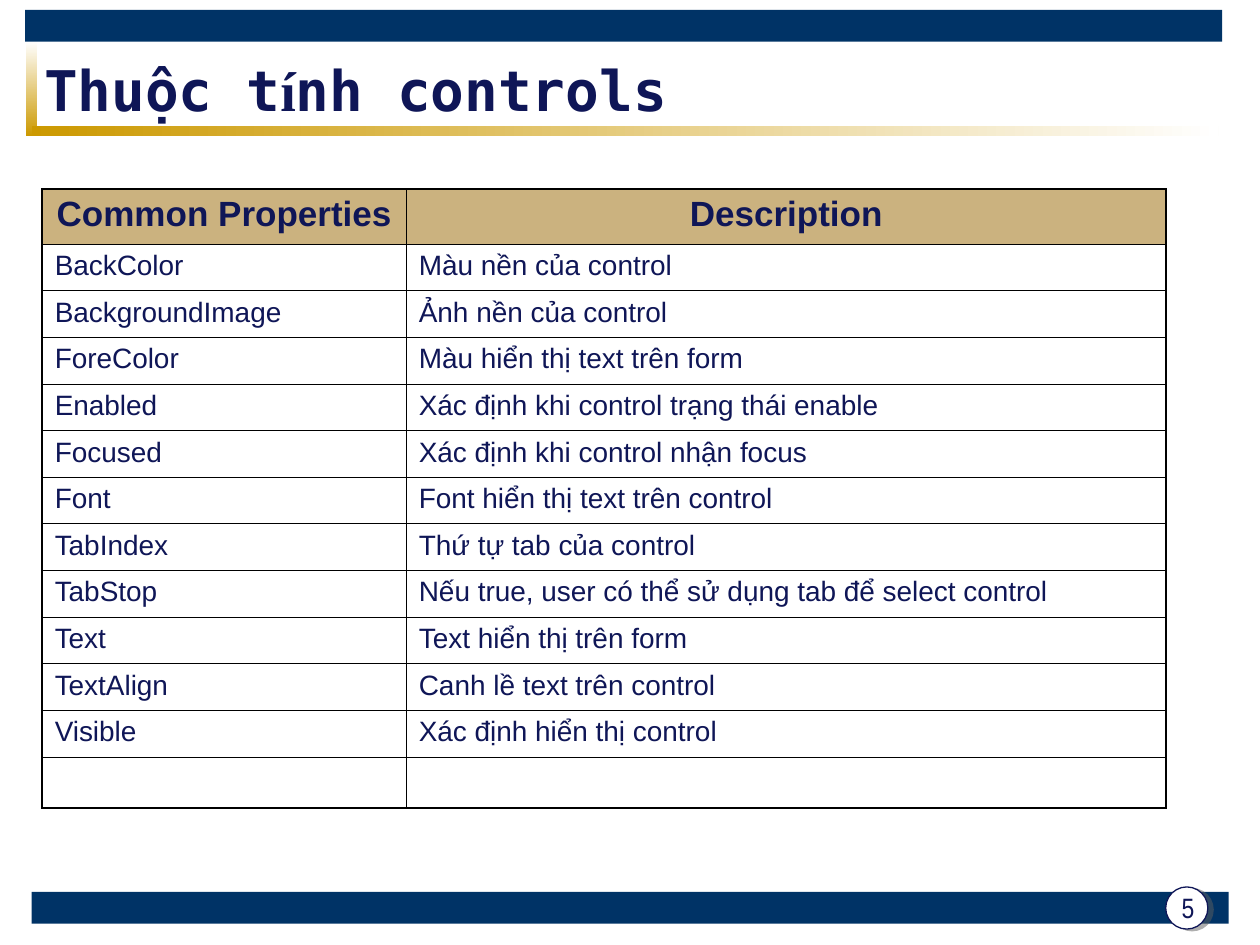
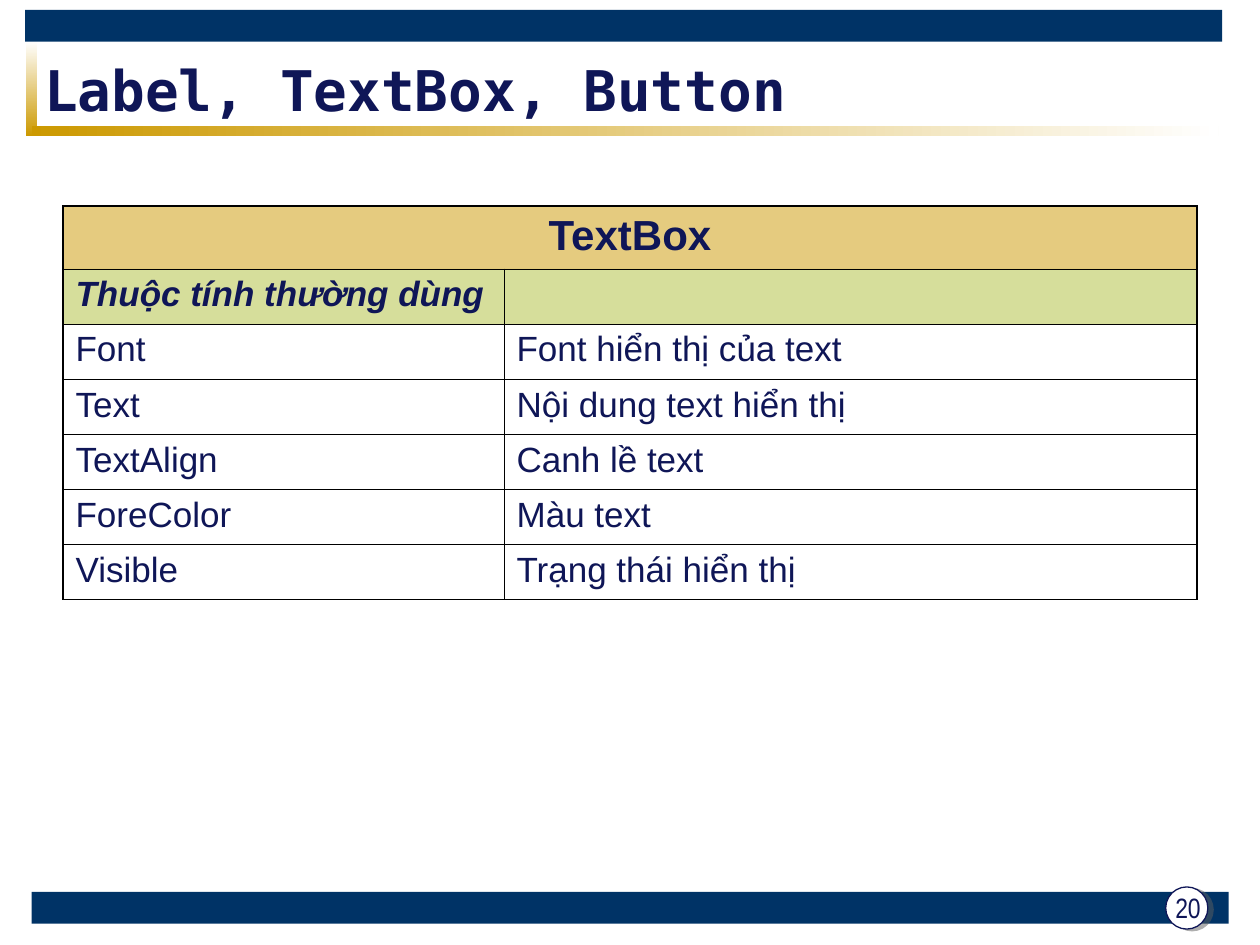
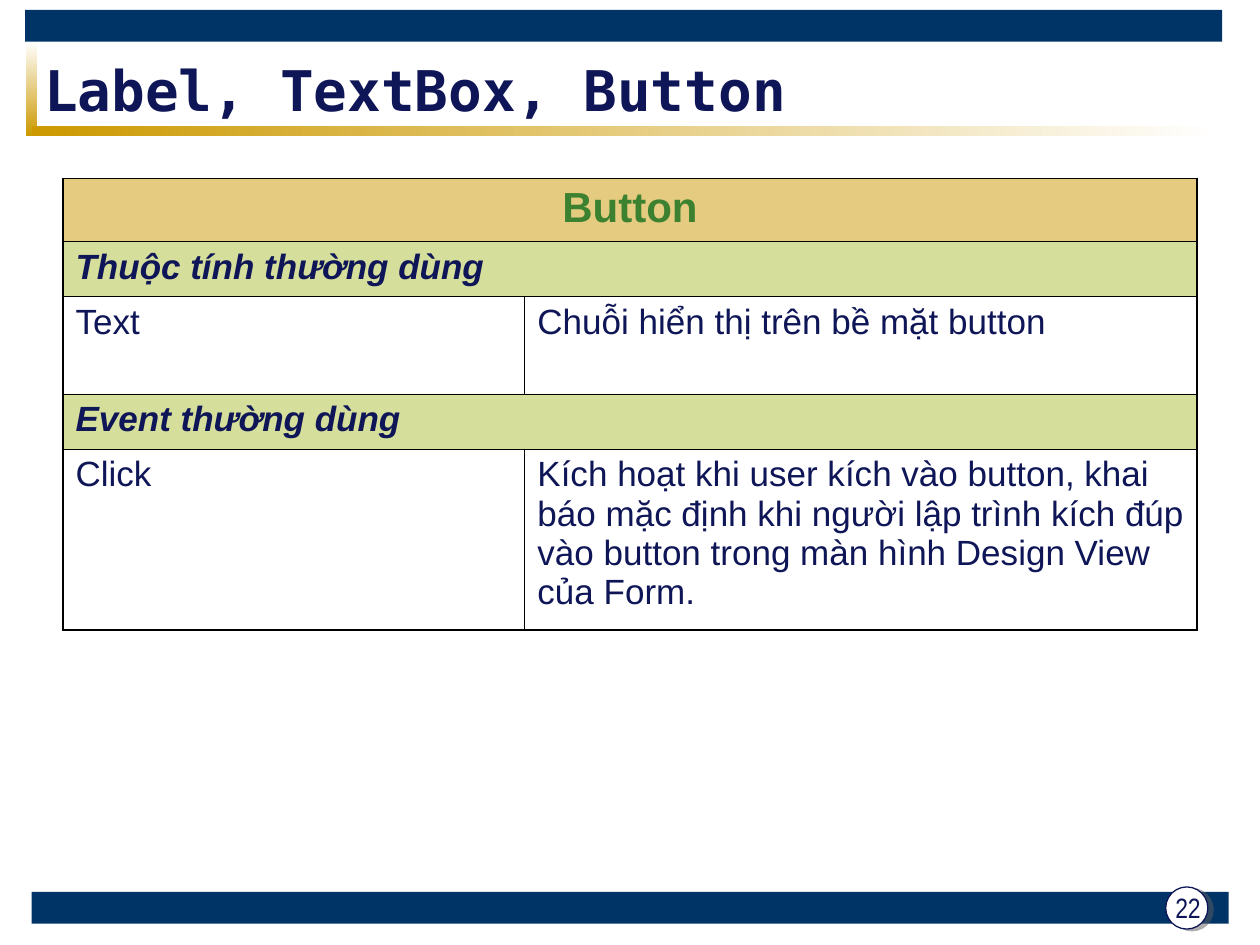
from dataclasses import dataclass
from typing import Optional

from lxml.etree import SubElement
from pptx import Presentation
from pptx.dml.color import RGBColor
from pptx.enum.shapes import MSO_SHAPE
from pptx.enum.text import MSO_ANCHOR, PP_ALIGN
from pptx.oxml.ns import qn
from pptx.util import Cm, Pt

NAVY = RGBColor(0x00, 0x33, 0x66)
INK = RGBColor(0x0F, 0x16, 0x57)
GOLD = RGBColor(0xCC, 0x99, 0x00)
BROWN = RGBColor(0x99, 0x66, 0x00)
OLIVE = RGBColor(0xAF, 0xBF, 0x39)
GREEN = RGBColor(0x3B, 0x81, 0x2F)
GREY = RGBColor(0x5F, 0x5F, 0x5F)
WHITE = RGBColor(0xFF, 0xFF, 0xFF)
BLACK = RGBColor(0x00, 0x00, 0x00)

SANS, NARROW, MONO, SERIF = "Arial", "Arial Narrow", "DejaVu Sans Mono", "Times New Roman"
THIN, THICK = 0.45, 1.08
HEAD = (0.51, 0.2, 24.13, 0.64)
FOOT = (0.64, 17.98, 24.13, 0.64)


@dataclass
class Style:
    """Look of one kind of table row."""
    size: int
    fill: Optional[RGBColor] = None
    ink: RGBColor = INK
    bold: bool = False
    slant: bool = False
    align: PP_ALIGN = PP_ALIGN.LEFT


TOP = Style(20, BROWN, bold=True, align=PP_ALIGN.CENTER)
NAME = Style(24, GOLD, bold=True, align=PP_ALIGN.CENTER)
GREEN_NAME = Style(24, GOLD, GREEN, bold=True, align=PP_ALIGN.CENTER)
GROUP = Style(20, OLIVE, bold=True, slant=True)
SMALL = Style(16)
PLAIN = Style(20)

COMMON = [
    ("BackColor", "Màu nền của control"),
    ("BackgroundImage", "Ảnh nền của control"),
    ("ForeColor", "Màu hiển thị text trên form"),
    ("Enabled", "Xác định khi control trạng thái enable"),
    ("Focused", "Xác định khi control nhận focus"),
    ("Font", "Font hiển thị text trên control"),
    ("TabIndex", "Thứ tự tab của control"),
    ("TabStop", "Nếu true, user có thể sử dụng tab để select control"),
    ("Text", "Text hiển thị trên form"),
    ("TextAlign", "Canh lề text trên control"),
    ("Visible", "Xác định hiển thị control"),
]
FIELDS = [
    ("Font", "Font hiển thị của text"),
    ("Text", "Nội dung text hiển thị"),
    ("TextAlign", "Canh lề text"),
    ("ForeColor", "Màu text"),
    ("Visible", "Trạng thái hiển thị"),
]
CLICK = ("Kích hoạt khi user kích vào button, khai báo mặc định khi người lập trình "
         "kích đúp vào button trong màn hình Design View của Form.")
LABEL = [("Label, TextBox, Button", MONO)]


def write(para, runs, style):
    """Add (text, font) runs to a paragraph in the given style."""
    para.alignment = style.align
    for text, face in runs:
        run = para.add_run()
        run.text = text
        font = run.font
        font.name, font.size, font.color.rgb = face, Pt(style.size), style.ink
        font.bold, font.italic = style.bold, style.slant


def label(slide, box, runs, style):
    """Add a text box centred in height."""
    frame = slide.shapes.add_textbox(*map(Cm, box)).text_frame
    frame.word_wrap = True
    frame.vertical_anchor = MSO_ANCHOR.MIDDLE
    write(frame.paragraphs[0], runs, style)


def block(slide, box, fill, kind=MSO_SHAPE.RECTANGLE):
    """Add a plain filled shape without outline or shadow."""
    shape = slide.shapes.add_shape(kind, *map(Cm, box))
    shape.shadow.inherit = False
    shape.fill.solid()
    shape.fill.fore_color.rgb = fill
    shape.line.fill.background()
    return shape


def fade(slide, box, start, end, angle):
    """Add a bar that fades between two colours."""
    fill = block(slide, box, start).fill
    fill.gradient()
    fill.gradient_angle = angle
    for stop, tone in zip(fill.gradient_stops, (start, end)):
        stop.color.rgb = tone


def alpha(tone, share):
    """Set the opacity of a colour element in percent."""
    SubElement(tone, qn("a:alpha"), val=str(share * 1000))


def header(slide, box, title):
    """Draw the top band, the gold bars and the title."""
    left, top, width, _ = box
    block(slide, box, NAVY)
    fade(slide, (left + 0.02, top + 0.64, 0.21, 1.9), WHITE, GOLD, 270)
    fade(slide, (left + 0.13, top + 2.34, width - 0.2, 0.2), GOLD, WHITE, 0)
    label(slide, (left + 0.13, top + 0.87, 22.86, 1.47), title, Style(32, bold=True))


def footer(slide, box, page):
    """Draw the bottom band and the page number in its disc."""
    left, top, _, _ = box
    block(slide, box, NAVY)
    disc = block(slide, (left + 22.86, top - 0.1, 0.85, 0.85), WHITE, MSO_SHAPE.OVAL)
    disc.line.color.rgb = INK
    disc.line.width = Pt(0.75)
    effect = disc.element.spPr.find(qn("a:effectLst"))
    shade = SubElement(effect, qn("a:outerShdw"), dist=str(Pt(3.2)), dir=str(18 * 60000))
    alpha(SubElement(shade, qn("a:srgbClr"), val=str(GREY)), 50)
    label(slide, (left + 22.7, top - 0.35, 1.22, 1.32), [(str(page), NARROW)],
          Style(16, align=PP_ALIGN.CENTER))


def border(cell, sides):
    """Outline a cell with a line width for each side."""
    props = cell._tc.get_or_add_tcPr()
    for side, width in sides.items():
        line = SubElement(props, qn(f"a:ln{side}"), w=str(Pt(width)))
        fill = SubElement(line, qn("a:solidFill"))
        SubElement(fill, qn("a:srgbClr"), val=str(BLACK))


def tint(cell, fill):
    """Fill a cell with a half-clear colour, or with none."""
    if fill is None:
        cell.fill.background()
        return
    cell.fill.solid()
    cell.fill.fore_color.rgb = fill
    alpha(cell._tc.tcPr.find(qn("a:solidFill"))[0], 50)


def grid(slide, spot, widths, rows, base=THICK):
    """Add a table of (style, height, texts); a single text spans its row."""
    last, count = len(rows) - 1, len(widths)
    box = (*spot, sum(widths), sum(high for _, high, _ in rows))
    table = slide.shapes.add_table(len(rows), count, *map(Cm, box)).table
    table.first_row = table.horz_banding = False
    for col, width in zip(table.columns, widths):
        col.width = Cm(width)
    for r, (style, high, texts) in enumerate(rows):
        table.rows[r].height = Cm(high)
        if len(texts) == 1:
            table.cell(r, 0).merge(table.cell(r, count - 1))
        for c, text in enumerate(texts):
            cell = table.cell(r, c)
            border(cell, {
                "L": THICK if c == 0 else THIN,
                "R": THICK if c == len(texts) - 1 else THIN,
                "T": THICK if r == 0 else THIN,
                "B": base if r == last else THIN,
            })
            tint(cell, style.fill)
            if text:
                para = cell.text_frame.paragraphs[0]
                para.space_before = Pt(style.size / 4)
                write(para, [(text, SANS)], style)


def page(deck, title, number):
    """Add a slide with its header and footer."""
    slide = deck.slides.add_slide(deck.slide_layouts[6])
    footer(slide, FOOT, number)
    header(slide, HEAD, title)
    return slide


def main():
    """Build the three slides."""
    deck = Presentation()
    deck.slide_width, deck.slide_height = Cm(25.4), Cm(19.05)

    title = [("Thuộc t", MONO), ("í", SERIF), ("nh controls", MONO)]
    grid(page(deck, title, 5), (0.85, 3.81), (7.34, 15.32), [
        (TOP, 1.11, ("Common Properties", "Description")),
        *((SMALL, 0.94, pair) for pair in COMMON),
        (SMALL, 1.03, ("", "")),
    ])

    grid(page(deck, LABEL, 20), (1.27, 4.15), (8.89, 13.97), [
        (NAME, 1.27, ("TextBox",)),
        (GROUP, 1.11, ("Thuộc tính thường dùng", "")),
        *((PLAIN, 1.11, pair) for pair in FIELDS),
    ], THIN)

    grid(page(deck, LABEL, 22), (1.27, 3.6), (9.31, 13.55), [
        (GREEN_NAME, 1.27, ("Button",)),
        (GROUP, 1.11, ("Thuộc tính thường dùng",)),
        (PLAIN, 1.96, ("Text", "Chuỗi hiển thị trên bề mặt button")),
        (GROUP, 1.11, ("Event thường dùng",)),
        (PLAIN, 3.65, ("Click", CLICK)),
    ])

    deck.save("out.pptx")


if __name__ == "__main__":
    main()
